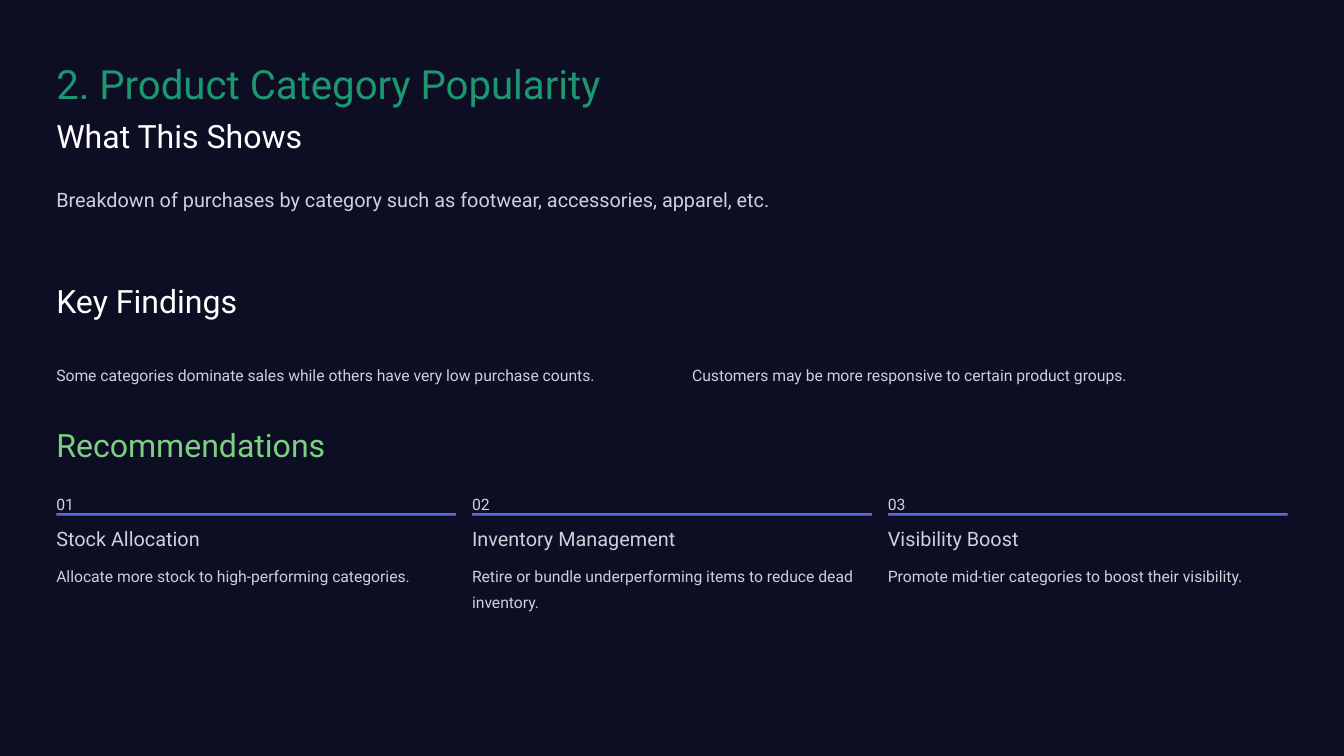
from pptx import Presentation
from pptx.dml.color import RGBColor
from pptx.enum.shapes import MSO_SHAPE
from pptx.enum.text import MSO_ANCHOR, MSO_AUTO_SIZE, PP_ALIGN
from pptx.util import Inches, Pt

NAVY = RGBColor(0x0D, 0x0D, 0x24)
TEAL = RGBColor(0x1C, 0x97, 0x70)
WHITE = RGBColor(0xFF, 0xFF, 0xFF)
GRAY = RGBColor(0xCF, 0xD0, 0xD8)
GREEN = RGBColor(0x7A, 0xD1, 0x80)
BLUE = RGBColor(0x5A, 0x6E, 0xD8)

# Content
TITLE = "2. Product Category Popularity"
HEADINGS = [  # text, top, colour
    ("What This Shows", 1.36, WHITE),
    ("Key Findings", 3.33, WHITE),
    ("Recommendations", 5.04, GREEN),
]
INTRO = "Breakdown of purchases by category such as footwear, accessories, apparel, etc."
FINDINGS = [
    "Some categories dominate sales while others have very low purchase counts.",
    "Customers may be more responsive to certain product groups.",
]
RECOMMENDATIONS = [  # title, title width, body, body height
    ("Stock Allocation", 2.4, "Allocate more stock to high‑performing categories.", 0.31),
    ("Inventory Management", 2.48,
     "Retire or bundle underperforming items to reduce dead inventory.", 0.62),
    ("Visibility Boost", 2.4, "Promote mid‑tier categories to boost their visibility.", 0.31),
]

# Text styles: size, line spacing, colour
TITLE_STYLE = (34.5, 43, TEAL)
INTRO_STYLE = (17, 27.5, GRAY)
CARD_TITLE_STYLE = (17, 21.5, GRAY)
BODY_STYLE = (13.5, 22, GRAY)

# Layout
LEFT = 0.67
CONTENT_W = 14.65
FINDING_W, FINDING_STEP = 7.09, 7.57
CARD_W, CARD_STEP = 4.76, 4.95


def set_text(s, text, style, wrap=False):
    size, spacing, color = style
    tf = s.text_frame
    frame_format = {
        "margin_left": 0, "margin_right": 0, "margin_top": 0, "margin_bottom": 0,
        "word_wrap": wrap, "auto_size": MSO_AUTO_SIZE.NONE,
        "vertical_anchor": MSO_ANCHOR.TOP,
    }
    for name, value in frame_format.items():
        setattr(tf, name, value)
    p = tf.paragraphs[0]
    p.alignment = PP_ALIGN.LEFT
    p.line_spacing = Pt(spacing)
    p.space_before = Pt(0)
    r = p.add_run()
    r.text = text
    for name, value in {"name": "Roboto", "size": Pt(size)}.items():
        setattr(r.font, name, value)
    r.font.color.rgb = color


def add_text(slide, text, box, style, wrap=False):
    s = slide.shapes.add_textbox(*map(Inches, box))
    set_text(s, text, style, wrap)


def add_rule(slide, box):
    s = slide.shapes.add_shape(MSO_SHAPE.RECTANGLE, *map(Inches, box))
    s.shadow.inherit = False
    s.fill.solid()
    s.fill.fore_color.rgb = BLUE
    s.line.fill.background()


def main():
    prs = Presentation()
    prs.slide_width, prs.slide_height = Inches(16), Inches(9)
    slide = prs.slides.add_slide(prs.slide_layouts[5])
    slide.background.fill.solid()
    slide.background.fill.fore_color.rgb = NAVY

    # Title
    title = slide.shapes.title
    title.left, title.top, title.width, title.height = map(Inches, (LEFT, 0.68, 6.59, 0.6))
    set_text(title, TITLE, TITLE_STYLE)

    # Section headings and introduction
    for text, top, color in HEADINGS:
        add_text(slide, text, (LEFT, top, 3.85, 0.48), (27.5, 34.5, color))
    add_text(slide, INTRO, (LEFT, 2.13, CONTENT_W, 0.38), INTRO_STYLE)

    # Key findings in two columns
    for i, text in enumerate(FINDINGS):
        add_text(slide, text, (LEFT + i * FINDING_STEP, 4.27, FINDING_W, 0.31), BODY_STYLE)

    # Numbered recommendations in three columns
    for i, (heading, heading_w, body, body_h) in enumerate(RECOMMENDATIONS):
        x = LEFT + i * CARD_STEP
        add_text(slide, f"{i + 1:02}", (x, 5.81, 0.19, 0.24), BODY_STYLE)
        add_rule(slide, (x, 6.11, CARD_W, 0.03))
        add_text(slide, heading, (x, 6.25, heading_w, 0.3), CARD_TITLE_STYLE)
        add_text(slide, body, (x, 6.67, CARD_W, body_h), BODY_STYLE, wrap=True)

    prs.save("out.pptx")


if __name__ == "__main__":
    main()
